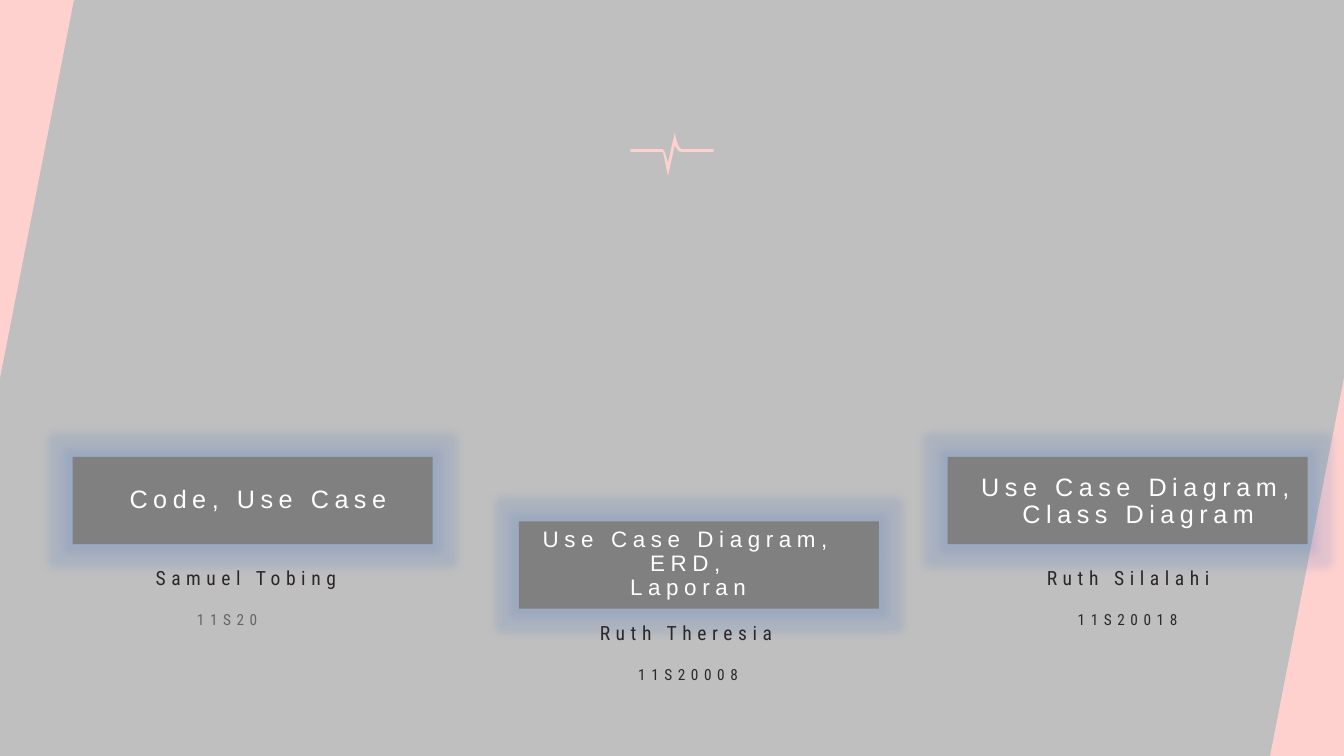
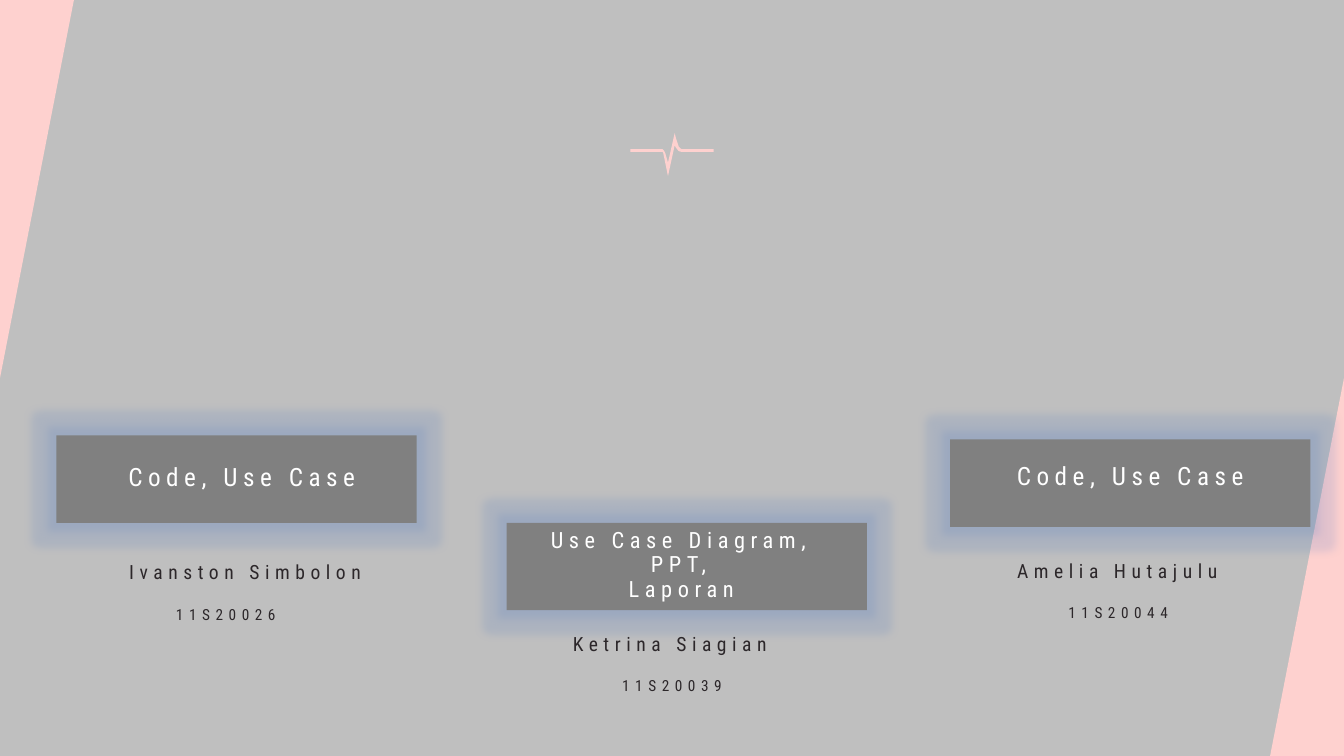
import copy
from dataclasses import dataclass

import lxml.etree
import pptx
import pptx.dml.color
import pptx.enum.shapes
import pptx.enum.text
import pptx.oxml
import pptx.oxml.ns
import pptx.util

COLORS = {
    "background": "BFBFBF",
    "accent": "FED1CF",
    "card": "808080",
    "glow": "4472C4",
    "role": "FFFFFF",
    "ink": "2C272A",
    "muted": "676466",
}
WIDTH = 10
HEIGHT = 5.625
COLUMNS = 100
ROWS = COLUMNS * HEIGHT / WIDTH
CARD_SIZE = (26.8, 6.5)
LINE_HEIGHT = 3.1
NUMBER_SIZE = (23.2, 2.7)
NUMBER_DROP = 2.7
GLOW_RADIUS = 9
GLOW_OPACITY = 15
CONDENSED = "Roboto Condensed"


@dataclass
class Member:
    card: tuple
    role: str
    role_box: tuple
    name: str
    name_box: tuple
    number: str
    number_center: float
    role_size: float = 13.5
    number_color: str = "ink"


TEAMS = [
    ("Arial", [
        Member((5.4, 34), "Code, Use Case", (7.2, 35.7, 24),
               "Samuel Tobing", (5.4, 41.8, 25.8), "11S20", 16.9, number_color="muted"),
        Member((38.6, 38.8), "Use Case Diagram, ERD,\nLaporan", (38.2, 38.8, 26),
               "Ruth Theresia", (42.2, 45.9, 17.7), "11S20008", 51.2, role_size=12),
        Member((70.5, 34), "Use Case Diagram,\nClass Diagram", (71.3, 34.8, 26.8),
               "Ruth Silalahi", (75.1, 41.8, 17.7), "11S20018", 83.9),
    ]),
    (CONDENSED, [
        Member((4.2, 32.4), "Code, Use Case", (6, 34.1, 24),
               "Ivanston Simbolon", (7.9, 41.4, 20.7), "11S20026", 16.8),
        Member((37.7, 38.9), "Use Case Diagram, PPT,\nLaporan", (37.7, 38.9, 26),
               "Ketrina Siagian", (41, 46.7, 17.7), "11S20039", 50, role_size=12),
        Member((70.7, 32.7), "Code, Use Case", (70.7, 34, 26.8),
               "Amelia Hutajulu", (74.3, 41.3, 17.7), "11S20044", 83.2),
    ]),
]

CORNERS = [
    [(5.5, 0), (0, ROWS / 2), (0, 0)],
    [(COLUMNS, ROWS / 2), (COLUMNS, ROWS), (94.5, ROWS)],
]
PULSE = [
    (50.2, 9.9), (49.7, 12.1), (49.5, 11.4), (49.4, 11.2), (49.3, 11.1),
    (46.9, 11.1), (46.9, 11.3), (49.3, 11.3), (49.35, 11.4), (49.7, 13.1),
    (50.2, 10.8), (50.3, 11), (50.5, 11.25), (50.7, 11.3), (53.1, 11.3),
    (53.1, 11.1), (50.7, 11.1), (50.5, 10.9), (50.3, 10.3),
]


class Deck:
    def __init__(self):
        self.presentation = pptx.Presentation()
        self.presentation.slide_width = pptx.util.Inches(WIDTH)
        self.presentation.slide_height = pptx.util.Inches(HEIGHT)
        self.cell = self.presentation.slide_width / COLUMNS
        self.layout = self.presentation.slide_layouts[6]
        self.slide = None

    def color(self, name):
        return pptx.dml.color.RGBColor.from_string(COLORS[name])

    def cells(self, *lengths):
        return [pptx.util.Emu(round(length * self.cell)) for length in lengths]

    def paint(self, shape, name):
        shape.shadow.inherit = False
        shape.fill.solid()
        shape.fill.fore_color.rgb = self.color(name)
        shape.line.fill.background()

    def add_slide(self):
        self.slide = self.presentation.slides.add_slide(self.layout)

    def decorate_layout(self):
        fill = self.layout.background.fill
        fill.solid()
        fill.fore_color.rgb = self.color("background")
        for points in CORNERS + [PULSE]:
            self.layout.shapes.element.append(self.outline(points).element)

    def outline(self, points):
        start, *rest = [self.cells(*point) for point in points]
        builder = self.slide.shapes.build_freeform(*start)
        builder.add_line_segments(rest, close=True)
        shape = builder.convert_to_shape()
        self.paint(shape, "accent")
        return shape

    def card(self, left, top):
        shape = self.slide.shapes.add_shape(
            pptx.enum.shapes.MSO_SHAPE.RECTANGLE, *self.cells(left, top, *CARD_SIZE))
        self.paint(shape, "card")
        effects = shape.element.spPr.find(pptx.oxml.ns.qn("a:effectLst"))
        glow = lxml.etree.SubElement(
            effects, pptx.oxml.ns.qn("a:glow"), rad=str(pptx.util.Pt(GLOW_RADIUS)))
        tint = lxml.etree.SubElement(
            glow, pptx.oxml.ns.qn("a:srgbClr"), val=COLORS["glow"])
        lxml.etree.SubElement(
            tint, pptx.oxml.ns.qn("a:alpha"), val=str(GLOW_OPACITY * 1000))

    def text(self, shapes, words, box, size, font, color, spacing=0.9):
        shape = shapes.add_textbox(*self.cells(*box))
        frame = shape.text_frame
        frame.word_wrap = True
        paragraph = frame.paragraphs[0]
        paragraph.text = words
        paragraph.alignment = pptx.enum.text.PP_ALIGN.CENTER
        paragraph.line_spacing = spacing
        for run in paragraph.runs:
            run.font.size = pptx.util.Pt(size)
            run.font.name = font
            run.font.color.rgb = self.color(color)
            run.font._element.set("spc", "300")
        for line_break in paragraph._p.findall(pptx.oxml.ns.qn("a:br")):
            line_break.append(copy.deepcopy(paragraph.runs[0].font._element))
        return frame

    def caption(self, member):
        shapes = self.slide.shapes.add_group_shape().shapes
        left, top, width = member.name_box
        self.text(shapes, member.name, (left, top, width, LINE_HEIGHT),
                  10.5, CONDENSED, "ink")
        number_left = member.number_center - NUMBER_SIZE[0] / 2
        frame = self.text(shapes, member.number,
                          (number_left, top + NUMBER_DROP, *NUMBER_SIZE),
                          8.2, CONDENSED, member.number_color, 1.3)
        frame.auto_size = pptx.enum.text.MSO_AUTO_SIZE.SHAPE_TO_FIT_TEXT

    def team(self, role_font, members):
        for member in members:
            self.card(*member.card)
        for member in members:
            self.text(self.slide.shapes, member.role, (*member.role_box, LINE_HEIGHT),
                      member.role_size, role_font, "role")
        for member in members:
            self.caption(member)


def main():
    deck = Deck()
    for index, (role_font, members) in enumerate(TEAMS):
        deck.add_slide()
        if index == 0:
            deck.decorate_layout()
        deck.team(role_font, members)
    deck.presentation.save("out.pptx")


if __name__ == "__main__":
    main()
